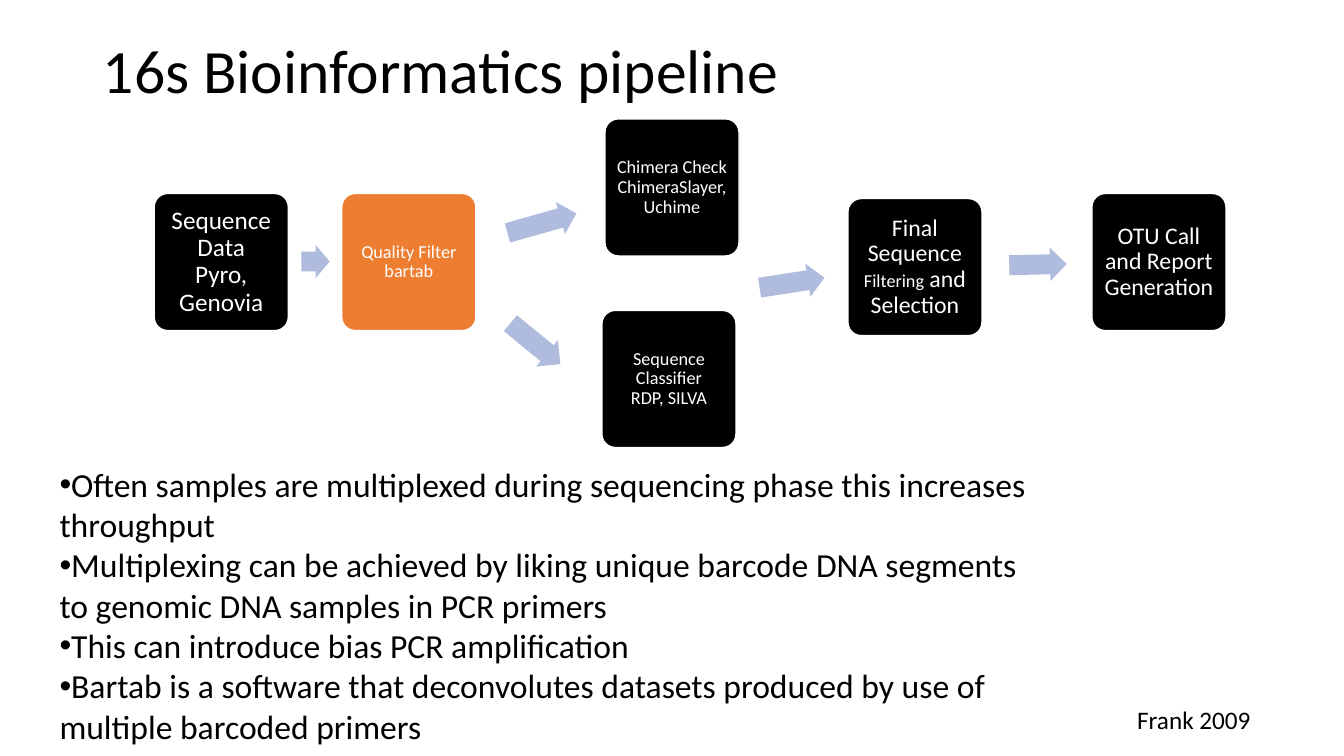
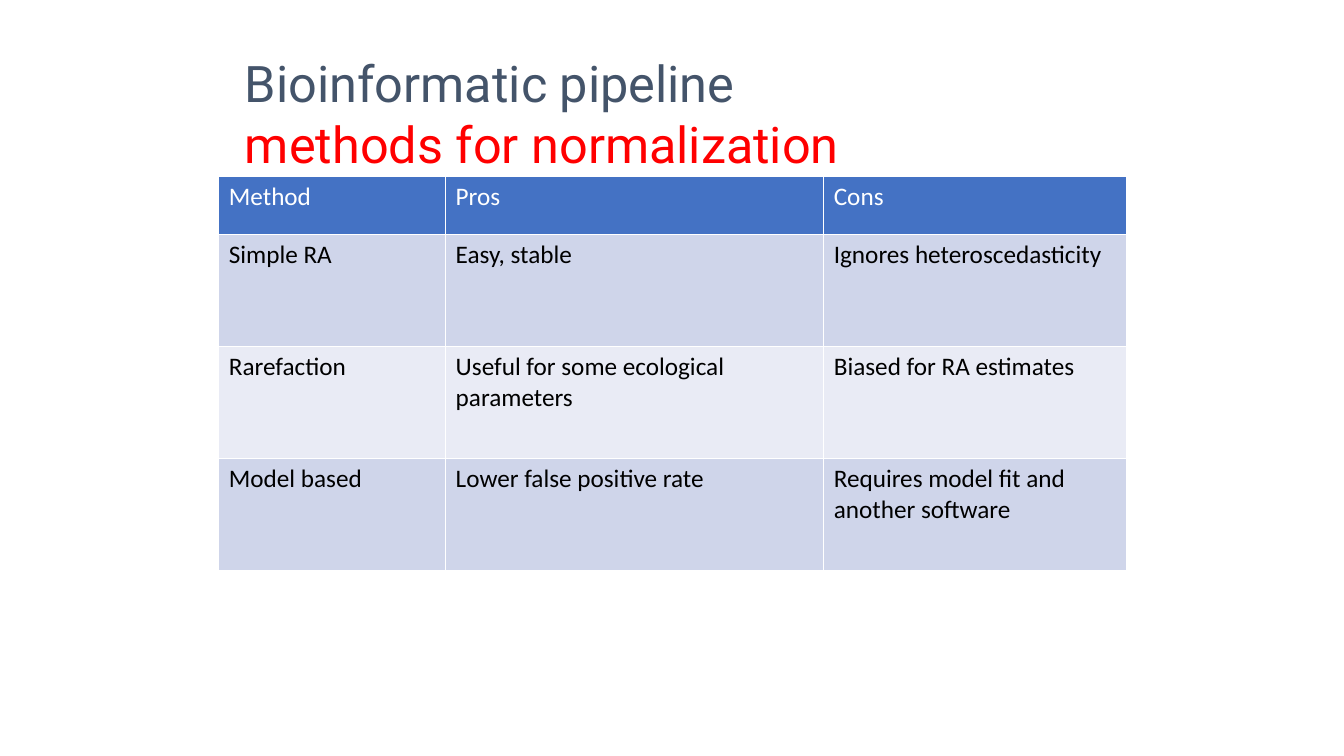
"""Build two slides on the 16s bioinformatics pipeline and its normalization methods."""
from dataclasses import dataclass
from typing import Any

from lxml.etree import SubElement
from pptx import Presentation
from pptx.dml.color import RGBColor
from pptx.enum.shapes import MSO_SHAPE as Preset
from pptx.enum.text import MSO_ANCHOR as Anchor, MSO_AUTO_SIZE as AutoSize, PP_ALIGN as Align
from pptx.oxml.ns import qn
from pptx.util import Inches, Pt

COLORS = {
    "ink": "000000",
    "paper": "FFFFFF",
    "current": "ED7D31",
    "arrow": "B0BCDE",
    "slate": "44546A",
    "accent": "FF0000",
    "header": "4472C4",
    "band_dark": "CFD5EA",
    "band_light": "E9EBF5",
}
STEP_WIDTH, STEP_HEIGHT = 1.33, 1.36
TITLE_ONLY, TITLE_AND_BODY = 5, 1


@dataclass(frozen=True)
class Span:
    text: str
    size: float
    color: str = "ink"
    face: str = "Calibri"


@dataclass(frozen=True)
class Step:
    left: float
    top: float
    lines: list[list[Span]]
    color: str = "ink"
    inset: float = 0.05


@dataclass(frozen=True)
class Arrow:
    left: float
    top: float
    width: float
    rotation: float = 0
    height: float = 0.33


def label(size: float, *lines: str) -> list[list[Span]]:
    return [[Span(line, size, "paper")] for line in lines]


STEPS = [
    Step(1.53, 1.92, label(18, "Sequence Data", "Pyro, Genovia"), inset=0.07),
    Step(3.39, 1.92, label(13, "Quality Filter", "bartab"), "current"),
    Step(6, 1.18, label(13, "Chimera Check", "ChimeraSlayer, Uchime")),
    Step(5.97, 3.08, label(13, "Sequence Classifier", "RDP, SILVA")),
    Step(8.41, 1.97, [[Span("Final Sequence ", 17, "paper"), Span("Filtering", 13, "paper"),
                       Span(" and Selection", 17, "paper")]]),
    Step(10.83, 1.92, label(17, "OTU Call and Report Generation")),
]
ARROWS = [
    Arrow(2.99, 2.43, 0.28),
    Arrow(5.02, 2.05, 0.71, -15.8),
    Arrow(4.99, 3.24, 0.64, 39.3, 0.34),
    Arrow(7.53, 2.64, 0.65, -8.7),
    Arrow(10.01, 2.46, 0.57, -1.3),
]
NOTES = [
    "Often samples are multiplexed during sequencing phase this increases throughput",
    "Multiplexing can be achieved by liking unique barcode DNA segments to genomic DNA samples in PCR primers",
    "This can introduce bias PCR amplification",
    "Bartab is a software that deconvolutes datasets produced by use of multiple barcoded primers",
]
METHODS = [
    ["Method", "Pros", "Cons"],
    ["Simple RA", "Easy, stable", "Ignores heteroscedasticity"],
    ["Rarefaction", "Useful for some ecological parameters", "Biased for RA estimates"],
    ["Model based", "Lower false positive rate", "Requires model fit and another software"],
]


def rgb(name: str) -> RGBColor:
    return RGBColor.from_string(COLORS[name])


def apply(target: Any, values: dict[str, Any]) -> None:
    for name, value in values.items():
        setattr(target, name, value)


def paint(target: Any, color: str) -> None:
    target.fill.solid()
    target.fill.fore_color.rgb = rgb(color)


def place(shape: Any, left: float, top: float, width: float, height: float) -> None:
    apply(shape, {"left": Inches(left), "top": Inches(top),
                  "width": Inches(width), "height": Inches(height)})


def write(frame: Any, lines: list[list[Span]], align: Any = Align.LEFT, spacing: float = 1.0) -> None:
    for index, spans in enumerate(lines):
        paragraph = frame.add_paragraph() if index else frame.paragraphs[0]
        apply(paragraph, {"alignment": align, "line_spacing": spacing,
                          "space_before": Pt(0), "space_after": Pt(0)})
        for span in spans:
            run = paragraph.add_run()
            run.text = span.text
            apply(run.font, {"size": Pt(span.size), "name": span.face, "bold": False})
            run.font.color.rgb = rgb(span.color)


def add_title(slide: Any, area: tuple[float, float, float, float], lines: list[list[Span]],
              anchor: Any, spacing: float = 1.0) -> None:
    title = slide.shapes.title
    place(title, *area)
    apply(title.text_frame, {"vertical_anchor": anchor, "auto_size": AutoSize.NONE, "word_wrap": True})
    write(title.text_frame, lines, spacing=spacing)


def add_step(slide: Any, step: Step) -> None:
    box = slide.shapes.add_shape(Preset.ROUNDED_RECTANGLE, Inches(step.left), Inches(step.top),
                                 Inches(STEP_WIDTH), Inches(STEP_HEIGHT))
    box.adjustments[0] = 0.1
    box.shadow.inherit = False
    paint(box, step.color)
    box.line.color.rgb = rgb("paper")
    box.line.width = Pt(1)
    inset = Inches(step.inset)
    apply(box.text_frame, {"margin_left": inset, "margin_right": inset, "margin_top": inset,
                           "margin_bottom": inset, "word_wrap": True, "vertical_anchor": Anchor.MIDDLE})
    write(box.text_frame, step.lines, Align.CENTER, 0.9)


def add_arrow(slide: Any, arrow: Arrow) -> None:
    shape = slide.shapes.add_shape(Preset.RIGHT_ARROW, Inches(arrow.left), Inches(arrow.top),
                                   Inches(arrow.width), Inches(arrow.height))
    shape.adjustments[0] = 0.6
    shape.adjustments[1] = 0.5
    shape.rotation = arrow.rotation
    shape.shadow.inherit = False
    paint(shape, "arrow")
    shape.line.fill.background()


def add_notes_list(slide: Any) -> None:
    body = slide.placeholders[1]
    place(body, 0.49, 4.55, 10, 2.95)
    apply(body.text_frame, {"auto_size": AutoSize.NONE, "word_wrap": True, "vertical_anchor": Anchor.TOP})
    write(body.text_frame, [[Span(note, 24)] for note in NOTES])
    for paragraph in body.text_frame.paragraphs:
        properties = paragraph._p.get_or_add_pPr()
        properties.set("marL", "0")
        properties.set("indent", "0")
        SubElement(properties, qn("a:buChar"), char="•")


def add_borders(cell: Any) -> None:
    properties = cell._tc.get_or_add_tcPr()
    for side in ("lnL", "lnR", "lnT", "lnB"):
        border = SubElement(properties, qn(f"a:{side}"), w=str(Pt(1)))
        fill = SubElement(border, qn("a:solidFill"))
        SubElement(fill, qn("a:srgbClr"), val=COLORS["paper"])


def add_methods_table(slide: Any) -> None:
    widths, heights = [2.25, 3.75, 3], [0.58, 1.11, 1.11, 1.11]
    table = slide.shapes.add_table(len(heights), len(widths), Inches(2.17), Inches(1.75),
                                   Inches(sum(widths)), Inches(sum(heights))).table
    for column, width in zip(table.columns, widths):
        column.width = Inches(width)
    for index, (row, height, texts) in enumerate(zip(table.rows, heights, METHODS)):
        row.height = Inches(height)
        band = "header" if index == 0 else "band_dark" if index % 2 else "band_light"
        for cell, text in zip(row.cells, texts):
            add_borders(cell)
            paint(cell, band)
            write(cell.text_frame, [[Span(text, 18, "ink" if index else "paper")]])


def build_pipeline(deck: Any) -> None:
    slide = deck.slides.add_slide(deck.slide_layouts[TITLE_AND_BODY])
    add_title(slide, (0.92, 0, 11.5, 1.45), [[Span("16s Bioinformatics pipeline", 44)]], Anchor.MIDDLE, 0.9)
    for step in STEPS:
        add_step(slide, step)
    for arrow in ARROWS:
        add_arrow(slide, arrow)
    add_notes_list(slide)
    citation = slide.shapes.add_textbox(Inches(11.18), Inches(6.94), Inches(2.15), Inches(0.4))
    citation.text_frame.word_wrap = True
    write(citation.text_frame, [[Span("Frank 2009", 18)]])


def build_normalization(deck: Any) -> None:
    slide = deck.slides.add_slide(deck.slide_layouts[TITLE_ONLY])
    heading = [[Span("Bioinformatic pipeline", 36, "slate", "Roboto")],
               [Span("methods for normalization", 36, "accent", "Roboto")]]
    add_title(slide, (2.33, 0.47, 9, 1.25), heading, Anchor.TOP)
    add_methods_table(slide)


def main() -> None:
    deck = Presentation()
    apply(deck, {"slide_width": Inches(13.33), "slide_height": Inches(7.5)})
    build_pipeline(deck)
    build_normalization(deck)
    deck.save("out.pptx")


if __name__ == "__main__":
    main()
